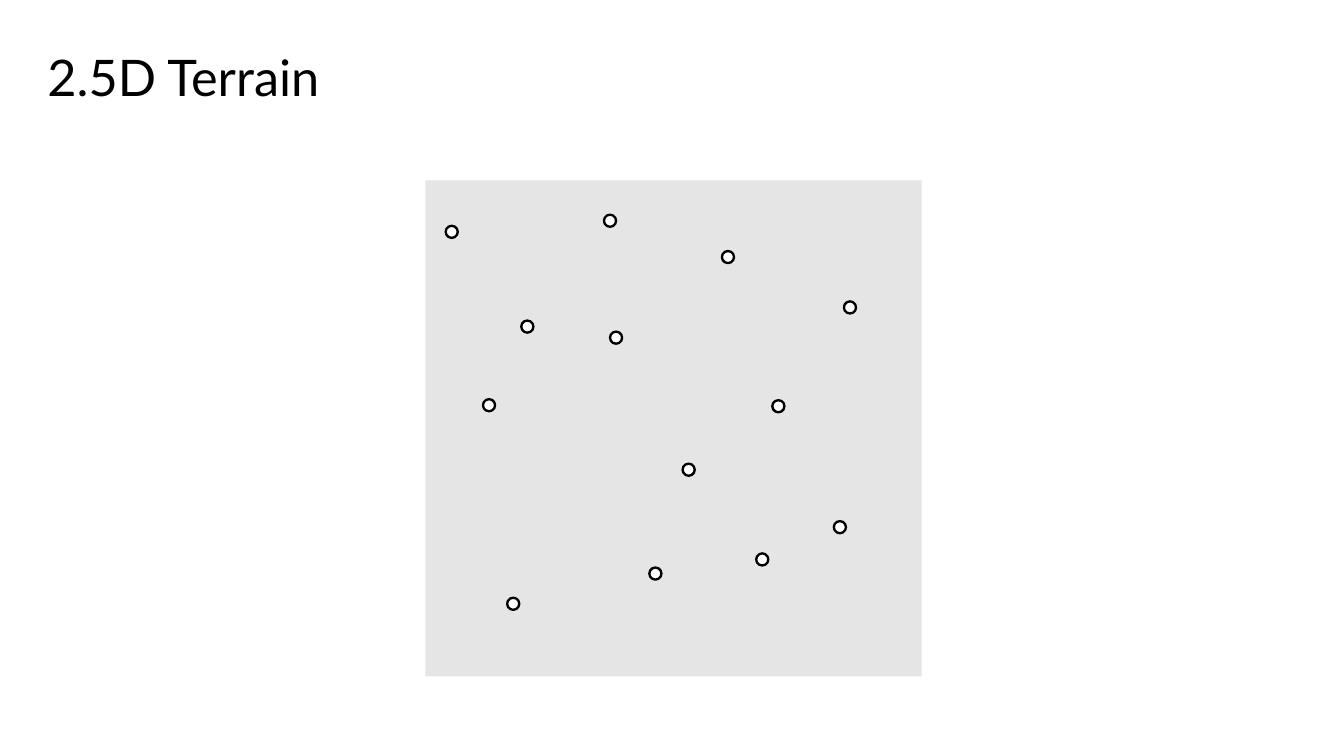
from pptx import Presentation
from pptx.dml.color import RGBColor
from pptx.enum.shapes import MSO_SHAPE
from pptx.enum.text import MSO_ANCHOR, PP_ALIGN
from pptx.util import Inches, Pt

BLACK, WHITE, GREY = "000000", "FFFFFF", "E5E5E5"
DOT = 0.12
# Sample centres, in inches from the terrain's top left corner
SITES = [
    (0.26, 0.51), (4.11, 3.44), (3.34, 3.76), (3.5, 2.24), (4.21, 1.26),
    (2.61, 2.87), (0.87, 4.2), (2.28, 3.9), (0.63, 2.23), (1.89, 1.56),
    (1.01, 1.45), (3.0, 0.76), (1.83, 0.4),
]


def color(code):
    return RGBColor.from_string(code)


def write(shape, text, size=18, ink=BLACK, font="Lato", align=PP_ALIGN.LEFT,
          anchor=MSO_ANCHOR.MIDDLE, spacing=1.0):
    frame = shape.text_frame
    frame.word_wrap = True
    frame.vertical_anchor = anchor
    para = frame.paragraphs[0]
    para.alignment = align
    para.line_spacing = spacing
    run = para.add_run()
    run.text = text
    run.font.name = font
    run.font.size = Pt(size)
    run.font.color.rgb = color(ink)


def draw(slide, kind, box, fill, line=None, width=1.66):
    shape = slide.shapes.add_shape(kind, *map(Inches, box))
    shape.shadow.inherit = False
    shape.fill.solid()
    shape.fill.fore_color.rgb = color(fill)
    if line:
        shape.line.color.rgb = color(line)
        shape.line.width = Pt(width)
    else:
        shape.line.fill.background()


def head(slide, box, text):
    title = slide.shapes.title
    title.left, title.top, title.width, title.height = map(Inches, box)
    write(title, text, size=36, spacing=0.9)


def terrain(slide, box, sites):
    """Draw the ground plane and a ring at each sample site."""
    draw(slide, MSO_SHAPE.RECTANGLE, box, GREY)
    left, top = box[:2]
    for x, y in sites:
        ring = (left + x - DOT / 2, top + y - DOT / 2, DOT, DOT)
        draw(slide, MSO_SHAPE.OVAL, ring, WHITE, line=BLACK)


def main():
    deck = Presentation()
    deck.slide_width, deck.slide_height = Inches(13.33), Inches(7.5)
    slide = deck.slides.add_slide(deck.slide_layouts[5])
    slide.background.fill.solid()
    slide.background.fill.fore_color.rgb = color(WHITE)
    head(slide, (0.37, 0.4, 12.6, 0.79), "2.5D Terrain")
    terrain(slide, (4.22, 1.79, 4.92, 4.92), SITES)
    deck.save("out.pptx")


if __name__ == "__main__":
    main()
